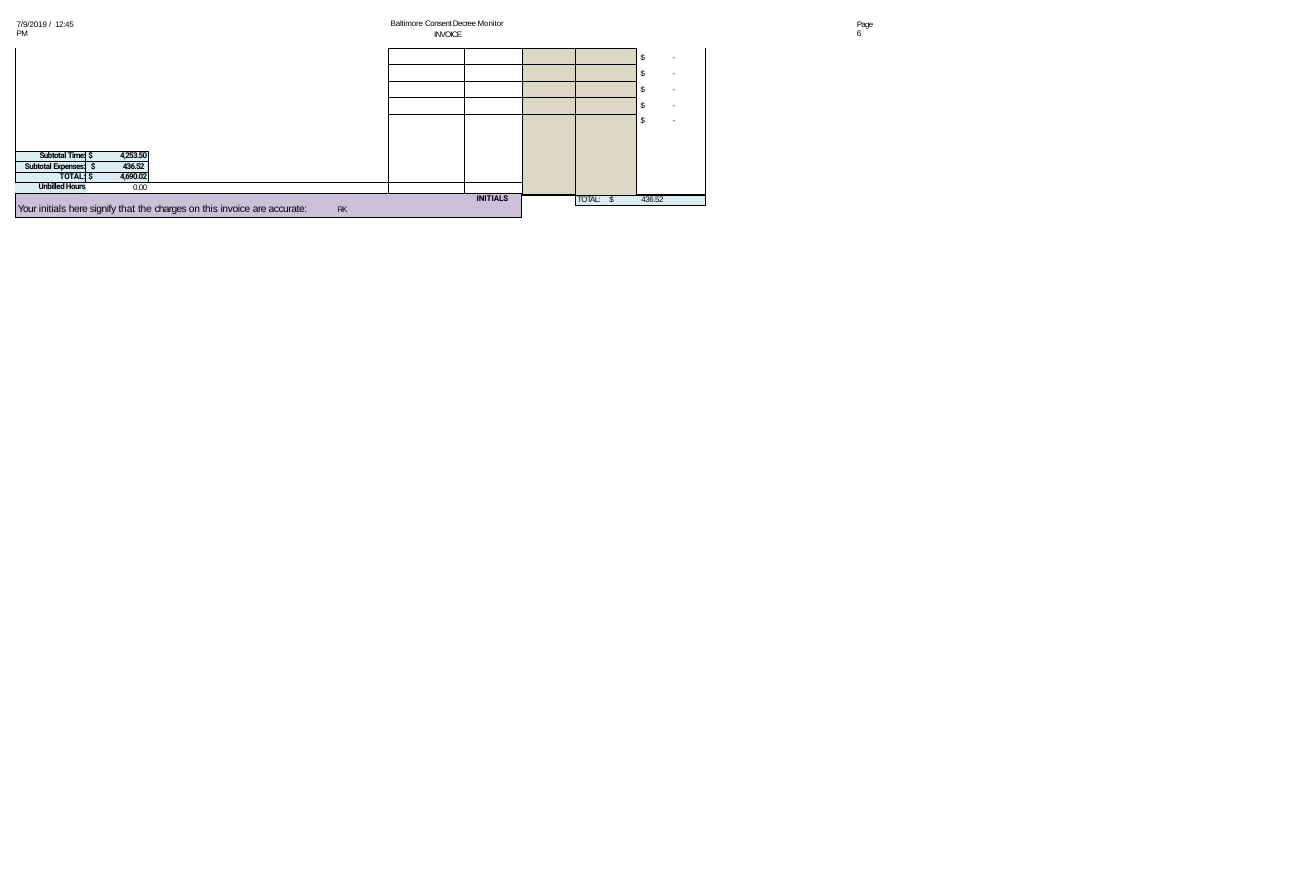
from dataclasses import dataclass

from lxml.etree import SubElement
from pptx import Presentation
from pptx.dml.color import RGBColor
from pptx.enum.text import MSO_ANCHOR as Anchor, MSO_AUTO_SIZE as AutoSize, PP_ALIGN as Align
from pptx.oxml.ns import qn
from pptx.util import Inches, Pt


@dataclass(frozen=True)
class Theme:
    ink: str = "000000"
    sand: str = "DDD8C4"
    sky: str = "D9EDF3"
    lilac: str = "CCC0D9"
    body_font: str = "Arial"
    label_font: str = "Roboto"
    body_size: float = 9
    statement_size: float = 11.5
    thin: float = 0.75
    thick: float = 1.5


THEME = Theme()
PLAIN_TABLE_STYLE = "{2D5ABB26-0587-4C30-8999-92F81FD0307C}"


def format_paragraph(paragraph, align=Align.LEFT, left=0, first=0, right=0,
                     line=None, before=0, tabs=()):
    paragraph.alignment = align
    paragraph.space_before = Pt(before)
    if line:
        paragraph.line_spacing = line
    properties = paragraph._p.get_or_add_pPr()
    for name, length in (("marL", left), ("marR", right), ("indent", first)):
        properties.set(name, str(Inches(length)))
    if tabs:
        tab_list = SubElement(properties, qn("a:tabLst"))
        for position in tabs:
            SubElement(tab_list, qn("a:tab"), pos=str(Inches(position)), algn="l")


def add_run(paragraph, text, spacing=0, size=THEME.body_size, font=THEME.body_font, bold=False):
    run = paragraph.add_run()
    run.text = text
    run.font.name = font
    run.font.size = Pt(size)
    run.font.bold = bold
    run.font.color.rgb = RGBColor.from_string(THEME.ink)
    run._r.get_or_add_rPr().set("spc", str(round(spacing * 100)))


def add_label(paragraph, text, spacing):
    add_run(paragraph, text, spacing, font=THEME.label_font, bold=True)


def style_cell(cell, borders, fill=None, top=0):
    cell.margin_left = cell.margin_right = cell.margin_bottom = 0
    cell.margin_top = Inches(top)
    properties = cell._tc.get_or_add_tcPr()
    for side in "LRTB":
        if side in borders:
            line = SubElement(properties, qn(f"a:ln{side}"), w=str(Pt(borders[side])))
            solid = SubElement(line, qn("a:solidFill"))
            SubElement(solid, qn("a:srgbClr"), val=THEME.ink)
    if fill:
        cell.fill.solid()
        cell.fill.fore_color.rgb = RGBColor.from_string(fill)
    else:
        cell.fill.background()


def add_plain_table(slide, box, columns, rows):
    frame = slide.shapes.add_table(len(rows), len(columns), *map(Inches, box))
    table = frame.table
    table.first_row = table.horz_banding = False
    table._tbl.tblPr.find(qn("a:tableStyleId")).text = PLAIN_TABLE_STYLE
    for column, width in zip(table.columns, columns):
        column.width = Inches(width)
    for row, height in zip(table.rows, rows):
        row.height = Inches(height)
    for cell in table.iter_cells():
        SubElement(cell.text_frame.paragraphs[0]._p, qn("a:endParaRPr"),
                   sz=str(round(THEME.body_size * 100)))
    return table


def set_header_frame(shape, box):
    shape.left, shape.top, shape.width, shape.height = map(Inches, box)
    frame = shape.text_frame
    frame.word_wrap = True
    frame.auto_size = AutoSize.NONE
    frame.vertical_anchor = Anchor.TOP
    frame.margin_left = frame.margin_right = frame.margin_bottom = 0
    frame.margin_top = Inches(0.01)
    return frame.paragraphs[0]


def add_header_text(slide, box, runs):
    paragraph = set_header_frame(slide.shapes.add_textbox(*map(Inches, box)), box)
    format_paragraph(paragraph, left=0.01)
    for text, spacing in runs:
        add_run(paragraph, text, spacing)


def add_header(slide, left, top):
    add_header_text(slide, (left, top, 1.1, 0.32),
                    [("7/9/2019 ", -0.1), ("/ ", 0.9), ("12:45 ", -0.4), ("PM", -0.6)])
    title = set_header_frame(slide.shapes.title, (left + 5.85, top - 0.02, 1.8, 0.35))
    format_paragraph(title, left=0.69, first=-0.68, line=1.08)
    for text, spacing in [("Baltimore ", -0.2), ("Consent Decree ", -0.6),
                          ("Monitor ", -0.1), ("INVOICE", -0.9)]:
        add_run(title, text, spacing)
    add_header_text(slide, (left + 13.14, top, 0.36, 0.32), [("Page ", -0.8), ("6", -0.5)])


def add_expense_grid(slide, box):
    thin, thick = THEME.thin, THEME.thick
    table = add_plain_table(slide, box, [5.83, 1.19, 0.91, 0.83, 0.95, 1.08],
                            [0.26] * 4 + [1.26, 0.17])
    sides = {"L": thick, "R": thick, "B": thick}
    table.cell(0, 0).merge(table.cell(4, 0))
    style_cell(table.cell(0, 0), sides)
    for row in range(5):
        for column in range(1, 5):
            left, right = (thick, thin) if column % 2 else (thin, thick)
            style_cell(table.cell(row, column), {"L": left, "T": thin, "R": right, "B": thin},
                       THEME.sand if column > 2 else None)

    amounts = table.cell(0, 5)
    amounts.merge(table.cell(4, 5))
    style_cell(amounts, sides, top=0.09)
    for index, before in enumerate([0, 7.8, 7.8, 7.8, 7.1]):
        frame = amounts.text_frame
        paragraph = frame.add_paragraph() if index else frame.paragraphs[0]
        format_paragraph(paragraph, left=0.07, before=before, tabs=[0.86])
        add_run(paragraph, "$\t", -0.5)
        add_run(paragraph, "-", -0.2)

    table.cell(5, 0).merge(table.cell(5, 3))
    style_cell(table.cell(5, 0), {"L": thick, "T": thick, "R": thick})
    total = table.cell(5, 4)
    total.merge(table.cell(5, 5))
    style_cell(total, {"L": thick, "T": thin, "R": thick, "B": thick}, THEME.sky)
    paragraph = total.text_frame.paragraphs[0]
    format_paragraph(paragraph, left=0.03, line=Pt(10.3), tabs=[1.02, 1.63])
    add_run(paragraph, "TOTAL:\t", -0.9)
    add_run(paragraph, "$\t436.52", -0.5)


def add_summary(slide, box):
    thin, thick = THEME.thin, THEME.thick
    table = add_plain_table(slide, box, [1.1, 0.98, 5.84], [0.16, 0.16, 0.17, 0.17, 0.37])
    subtotals = [([("Subtotal ", -0.5), ("Time:", -0.8)], "4,253.50", 0.43, 10.6),
                 ([("Subtotal ", -0.5), ("Expenses:", -0.6)], "436.52", 0.53, 10.6),
                 ([("TOTAL:", -0.05)], "4,690.02", 0.43, 10.3)]
    for row, (label, amount, tab, line) in enumerate(subtotals):
        edges = {"T": thin if row else thick, "B": thick if row == 2 else thin}
        name, value = table.cell(row, 0), table.cell(row, 1)
        style_cell(name, {"L": thick, "R": thin, **edges}, THEME.sky)
        style_cell(value, {"L": thin, "R": thick, **edges}, THEME.sky)
        paragraph = name.text_frame.paragraphs[0]
        format_paragraph(paragraph, Align.RIGHT, line=Pt(line))
        for text, spacing in label:
            add_label(paragraph, text, spacing)
        paragraph = value.text_frame.paragraphs[0]
        format_paragraph(paragraph, Align.CENTER, left=0.02, line=Pt(line), tabs=[tab])
        add_label(paragraph, f"$\t{amount}", -0.8)
    table.cell(0, 2).merge(table.cell(2, 2))
    style_cell(table.cell(0, 2), {"L": thick})

    unbilled, hours = table.cell(3, 0), table.cell(3, 1)
    hours.merge(table.cell(3, 2))
    style_cell(unbilled, {"T": thick, "B": thick}, THEME.sky)
    style_cell(hours, {"T": thick, "B": thick})
    paragraph = unbilled.text_frame.paragraphs[0]
    format_paragraph(paragraph, Align.RIGHT, line=Pt(10.3))
    add_label(paragraph, "Unbilled Hours", -0.5)
    paragraph = hours.text_frame.paragraphs[0]
    format_paragraph(paragraph, left=0.74, line=Pt(10.3))
    add_run(paragraph, "0.00", -0.5)

    approval = table.cell(4, 0)
    approval.merge(table.cell(4, 2))
    style_cell(approval, dict.fromkeys("LRTB", thick), THEME.lilac)
    paragraph = approval.text_frame.paragraphs[0]
    format_paragraph(paragraph, Align.RIGHT, right=0.21, line=Pt(10.6))
    add_label(paragraph, "INITIALS", -0.05)
    paragraph = approval.text_frame.add_paragraph()
    format_paragraph(paragraph, left=0.04, before=0.5, tabs=[7.08])
    for text, spacing in [("Your ", -0.7), ("initials ", -0.2), ("here signify ", -0.5),
                          ("that ", -0.1), ("the ", -0.2), ("charges ", -0.8), ("on ", -0.3),
                          ("this ", -0.2), ("invoice ", -0.4), ("are accurate:\t", -0.5)]:
        add_run(paragraph, text, spacing, THEME.statement_size)
    add_run(paragraph, "RK", -1.5)


def main():
    presentation = Presentation()
    presentation.slide_width, presentation.slide_height = Inches(20.58), Inches(14)
    slide = presentation.slides.add_slide(presentation.slide_layouts[5])
    add_header(slide, 0.25, 0.29)
    add_expense_grid(slide, (0.24, 0.75, 10.79, 2.47))
    add_summary(slide, (0.24, 2.37, 7.92, 1.03))
    presentation.save("out.pptx")


if __name__ == "__main__":
    main()
